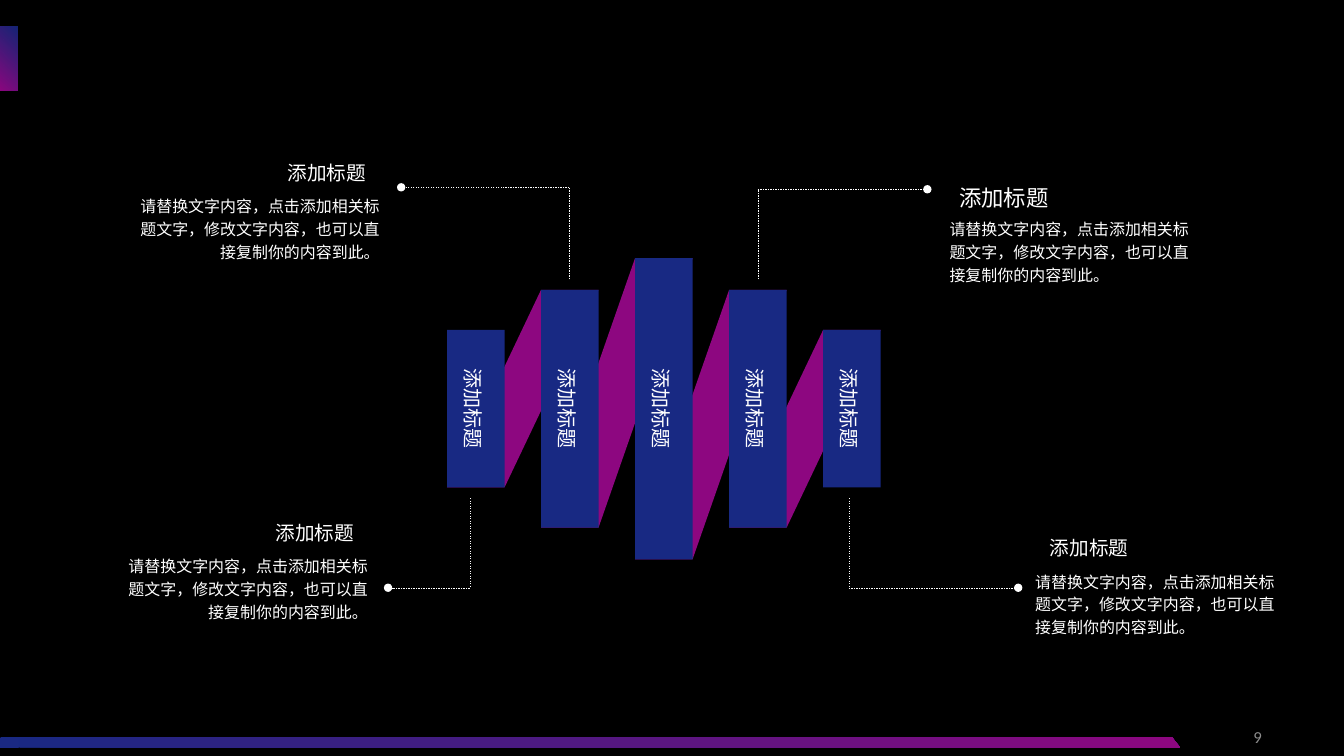
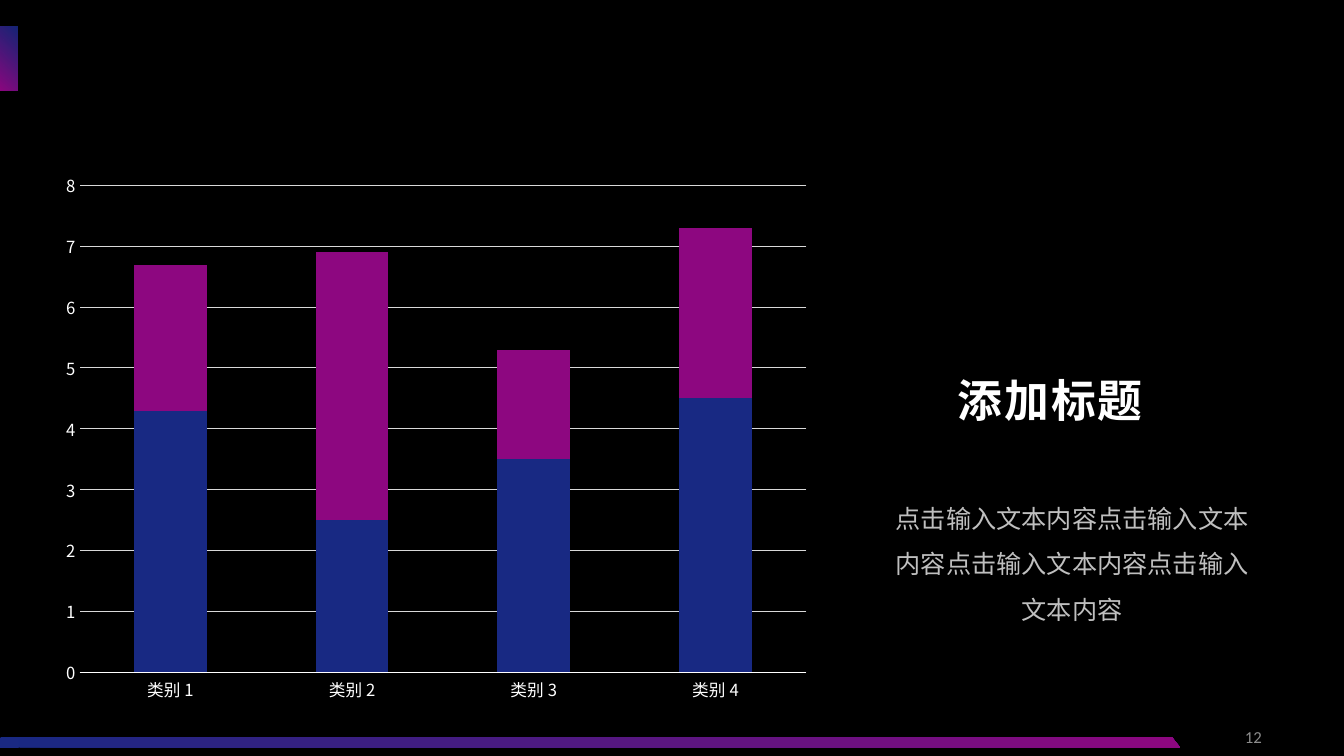
from dataclasses import dataclass
from itertools import pairwise

from pptx import Presentation
from pptx.chart.data import CategoryChartData
from pptx.dml.color import RGBColor
from pptx.enum import chart as charts, dml, shapes, text
from pptx.oxml.xmlchemy import OxmlElement
from pptx.util import Cm, Pt


# Theme
@dataclass(frozen=True)
class Theme:
    black: str = "000000"
    white: str = "FFFFFF"
    blue: str = "182983"
    corner_blue: str = "1A2983"
    magenta: str = "8D0780"
    grid: str = "D9D9D9"
    soft_grey: str = "BFBFBF"
    number_grey: str = "8C8C8C"
    font: str = "Noto Sans CJK SC"
    number_font: str = "Calibri"
    title_size: float = 32
    body_size: float = 18
    heading_size: float = 14
    large_heading_size: float = 16
    bar_size: float = 14.3
    note_size: float = 11.4
    axis_size: float = 11.9
    number_size: float = 12


THEME = Theme()
HEADING = "添加标题"
NOTE = "请替换文字内容，点击添加相关标题文字，修改文字内容，也可以直接复制你的内容到此。"


@dataclass(frozen=True)
class Box:
    left: float
    top: float
    width: float
    height: float

    def lengths(self) -> tuple:
        return Cm(self.left), Cm(self.top), Cm(self.width), Cm(self.height)


@dataclass(frozen=True)
class Bar:
    center: float
    height: float

    @property
    def left(self) -> float:
        return self.center - BAR_WIDTH / 2

    @property
    def top(self) -> float:
        return BAR_MIDDLE - self.height / 2

    @property
    def bottom(self) -> float:
        return BAR_MIDDLE + self.height / 2


@dataclass(frozen=True)
class Callout:
    note: Box
    heading_center: float
    stem_x: float
    stem_y: float
    corner_y: float
    dot_x: float
    align: text.PP_ALIGN
    heading_size: float = THEME.heading_size


BAR_WIDTH, BAR_STEP, BAR_MIDDLE, FIRST_BAR = 1.45, 2.37, 10.3, 11.99
BARS = [Bar(FIRST_BAR + i * BAR_STEP, height)
        for i, height in enumerate((3.97, 5.99, 7.59, 5.99, 3.97))]

LEFT, RIGHT, CENTER = text.PP_ALIGN.LEFT, text.PP_ALIGN.RIGHT, text.PP_ALIGN.CENTER
STEM_TOP, STEM_BOTTOM = 7.04, 12.55
CALLOUTS = [
    Callout(Box(2.74, 4.64, 7.26, 2.18), 8.24, 14.35, STEM_TOP, 4.72, 10.11, RIGHT),
    Callout(Box(2.44, 13.71, 7.26, 2.18), 7.94, 11.84, STEM_BOTTOM, 14.81, 9.78, RIGHT),
    Callout(Box(23.5, 5.2, 7.01, 2.18), 25.3, 19.1, STEM_TOP, 4.77, 23.37, LEFT,
            THEME.large_heading_size),
    Callout(Box(25.66, 14.09, 7.01, 2.18), 27.45, 21.39, STEM_BOTTOM, 14.81, 25.66, LEFT),
]


# Text helpers
def style_font(font, size: float, color: str, name: str = THEME.font) -> None:
    font.size = Pt(size)
    font.color.rgb = RGBColor.from_string(color)
    font.name = name
    east_asian = OxmlElement("a:ea")
    east_asian.set("typeface", name)
    font._element.append(east_asian)


def write(shape, words: str, size: float, color: str, align: text.PP_ALIGN,
          spacing: float = 1.0, name: str = THEME.font):
    para = shape.text_frame.paragraphs[0]
    para.alignment = align
    para.line_spacing = spacing
    span = para.add_run()
    span.text = words
    style_font(span.font, size, color, name)
    return span


def set_insets(frame, side: float, end: float) -> None:
    frame.margin_left = frame.margin_right = Cm(side)
    frame.margin_top = frame.margin_bottom = Cm(end)


def add_text_box(page, box: Box, insets: tuple[float, float] = (0.25, 0.13),
                 wrap: bool = True, grow: bool = True):
    shape = page.shapes.add_textbox(*box.lengths())
    frame = shape.text_frame
    frame.word_wrap = wrap
    frame.auto_size = (text.MSO_AUTO_SIZE.SHAPE_TO_FIT_TEXT if grow
                       else text.MSO_AUTO_SIZE.NONE)
    set_insets(frame, *insets)
    return shape


# Shape helpers
def fill_plain(shape, color: str) -> None:
    shape.shadow.inherit = False
    shape.line.fill.background()
    shape.fill.solid()
    shape.fill.fore_color.rgb = RGBColor.from_string(color)


def fill_gradient(shape, angle: float) -> None:
    shape.shadow.inherit = False
    shape.line.fill.background()
    shape.fill.gradient()
    shape.fill.gradient_angle = angle
    for stop, color in zip(shape.fill.gradient_stops, (THEME.blue, THEME.magenta)):
        stop.color.rgb = RGBColor.from_string(color)


def add_leader(page, start: tuple[float, float], end: tuple[float, float],
               dot: bool = False) -> None:
    points = [Cm(value) for value in (*start, *end)]
    leader = page.shapes.add_connector(shapes.MSO_CONNECTOR.STRAIGHT, *points)
    leader.line.width = Pt(0.25)
    leader.line.color.rgb = RGBColor.from_string(THEME.white)
    leader.line.dash_style = dml.MSO_LINE.DASH
    if dot:
        tail = OxmlElement("a:tailEnd")
        tail.set("type", "oval")
        leader.element.xpath(".//a:ln")[0].append(tail)
    leader.element.spPr.append(OxmlElement("a:effectLst"))


# Shared master: background, corner tab and footer band
def decorate_master(deck, page) -> None:
    master = deck.slide_master
    master.background.fill.solid()
    master.background.fill.fore_color.rgb = RGBColor.from_string(THEME.black)

    rectangle = shapes.MSO_SHAPE.RECTANGLE
    tab = page.shapes.add_shape(rectangle, *Box(0, 0.67, 0.45, 1.62).lengths())
    fill_gradient(tab, 225)
    alpha = OxmlElement("a:alpha")
    alpha.set("val", "90000")
    tab.element.xpath(".//a:gs/a:srgbClr")[0].append(alpha)

    band = page.shapes.add_shape(shapes.MSO_SHAPE.PARALLELOGRAM,
                                 *Box(0, 18.56, 29.74, 0.28).lengths())
    band.adjustments[0] = 0.775
    fill_gradient(band, 180)
    band.element.xpath(".//a:xfrm")[0].set("flipH", "1")

    band_end = page.shapes.add_shape(rectangle, *Box(0, 18.6, 0.47, 0.25).lengths())
    fill_plain(band_end, THEME.corner_blue)

    for number, shape in enumerate((tab, band, band_end), start=101):
        shape.element.xpath(".//p:cNvPr")[0].set("id", str(number))
        master.shapes.element.append(shape.element)


def add_page_number(page, number: str) -> None:
    box = add_text_box(page, Box(24.43, 18.06, 7.62, 1.02), grow=False)
    box.text_frame.vertical_anchor = text.MSO_ANCHOR.MIDDLE
    write(box, number, THEME.number_size, THEME.number_grey, RIGHT,
          name=THEME.number_font)


# Folded ribbon slide
def add_callout(page, callout: Callout) -> None:
    note = add_text_box(page, callout.note, (0.43, 0.23))
    write(note, NOTE, THEME.note_size, THEME.white, callout.align, 1.2)
    size = callout.heading_size
    width = size * 0.23  # four full-width characters, both insets and some slack
    heading = add_text_box(
        page, Box(callout.heading_center - width / 2, callout.note.top - 0.88,
                  width, size * 0.07),
        (0.36, 0.18), wrap=False)
    write(heading, HEADING, size, THEME.white, CENTER, 1.2)
    corner = (callout.stem_x, callout.corner_y)
    add_leader(page, (callout.stem_x, callout.stem_y), corner)
    add_leader(page, corner, (callout.dot_x, callout.corner_y), dot=True)


def add_fold(page, bar: Bar, following: Bar) -> None:
    outline = [(Cm(x), Cm(y)) for x, y in (
        (bar.left, bar.bottom), (following.left, following.top),
        (following.left + BAR_WIDTH, following.top), (bar.left + BAR_WIDTH, bar.bottom))]
    builder = page.shapes.build_freeform(*outline[0])
    builder.add_line_segments(outline[1:], close=True)
    fill_plain(builder.convert_to_shape(), THEME.magenta)


def add_bar(page, bar: Bar) -> None:
    sideways = Box(bar.center - bar.height / 2, BAR_MIDDLE - BAR_WIDTH / 2,
                   bar.height, BAR_WIDTH)
    shape = page.shapes.add_shape(shapes.MSO_SHAPE.RECTANGLE, *sideways.lengths())
    shape.rotation = 90
    fill_plain(shape, THEME.blue)
    shape.text_frame.vertical_anchor = text.MSO_ANCHOR.MIDDLE
    write(shape, HEADING, THEME.bar_size, THEME.white, CENTER, 1.2)


def build_ribbon_page(page) -> None:
    for bar, following in pairwise(BARS):
        add_fold(page, bar, following)
    for bar in BARS:
        add_bar(page, bar)
    for callout in CALLOUTS:
        add_callout(page, callout)
    add_page_number(page, "9")


# Stacked column slide
def add_columns(page) -> None:
    data = CategoryChartData()
    data.categories = [f"类别 {i}" for i in range(1, 5)]
    data.add_series("Series 1", (4.3, 2.5, 3.5, 4.5))
    data.add_series("Series 2", (2.4, 4.4, 1.8, 2.8))
    chart = page.shapes.add_chart(charts.XL_CHART_TYPE.COLUMN_STACKED,
                                  *Box(1.28, 4.08, 19.43, 13.87).lengths(), data).chart
    chart.has_legend = chart.has_title = False
    style_font(chart.font, THEME.axis_size, THEME.white)
    plot = chart.plots[0]
    plot.gap_width, plot.overlap, plot.vary_by_categories = 150, 100, False
    for series, color in zip(plot.series, (THEME.blue, THEME.magenta)):
        series.format.fill.solid()
        series.format.fill.fore_color.rgb = RGBColor.from_string(color)

    categories, values = chart.category_axis, chart.value_axis
    for axis in (categories, values):
        axis.major_tick_mark = axis.minor_tick_mark = charts.XL_TICK_MARK.NONE
        style_font(axis.tick_labels.font, THEME.axis_size, THEME.white)
    values.minimum_scale, values.maximum_scale, values.major_unit = 0, 8, 1
    values.format.line.fill.background()
    for line, color in ((categories.format.line, THEME.white),
                        (values.major_gridlines.format.line, THEME.grid)):
        line.width = Pt(0.75)
        line.color.rgb = RGBColor.from_string(color)


def prepare_placeholder(shape, box: Box) -> None:
    shape.left, shape.top, shape.width, shape.height = box.lengths()
    frame = shape.text_frame
    frame.word_wrap = True
    frame.vertical_anchor = text.MSO_ANCHOR.TOP
    frame.auto_size = text.MSO_AUTO_SIZE.SHAPE_TO_FIT_TEXT
    para = frame.paragraphs[0]
    properties = para._p.get_or_add_pPr()
    properties.set("marL", "0")
    properties.set("indent", "0")
    properties.append(OxmlElement("a:buNone"))
    para.space_before = Pt(0)


def build_chart_page(page) -> None:
    add_columns(page)
    title, body = page.shapes.title, page.placeholders[1]
    prepare_placeholder(title, Box(22.66, 9.26, 7.62, 1.63))
    span = write(title, "添 加 标 题", THEME.title_size, THEME.white, CENTER)
    span.font.bold = True
    span.font._element.set("spc", "-300")
    prepare_placeholder(body, Box(22.02, 12.17, 10, 3.71))
    write(body, "点击输入文本内容" * 4, THEME.body_size, THEME.soft_grey, CENTER, 1.5)
    add_page_number(page, "12")


def main() -> None:
    deck = Presentation()
    deck.slide_width, deck.slide_height = Cm(33.87), Cm(19.05)
    ribbon_page = deck.slides.add_slide(deck.slide_layouts[6])
    decorate_master(deck, ribbon_page)
    build_ribbon_page(ribbon_page)
    build_chart_page(deck.slides.add_slide(deck.slide_layouts[1]))
    deck.save("out.pptx")


if __name__ == "__main__":
    main()
